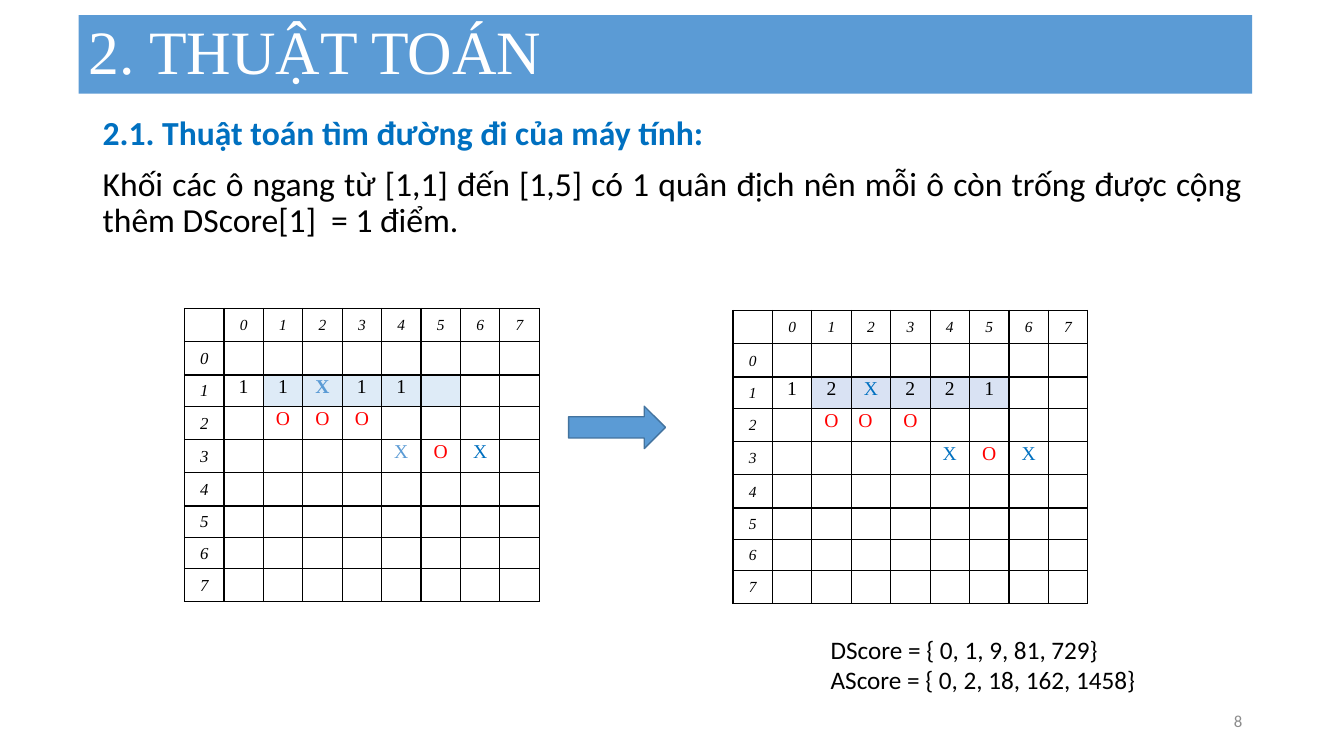
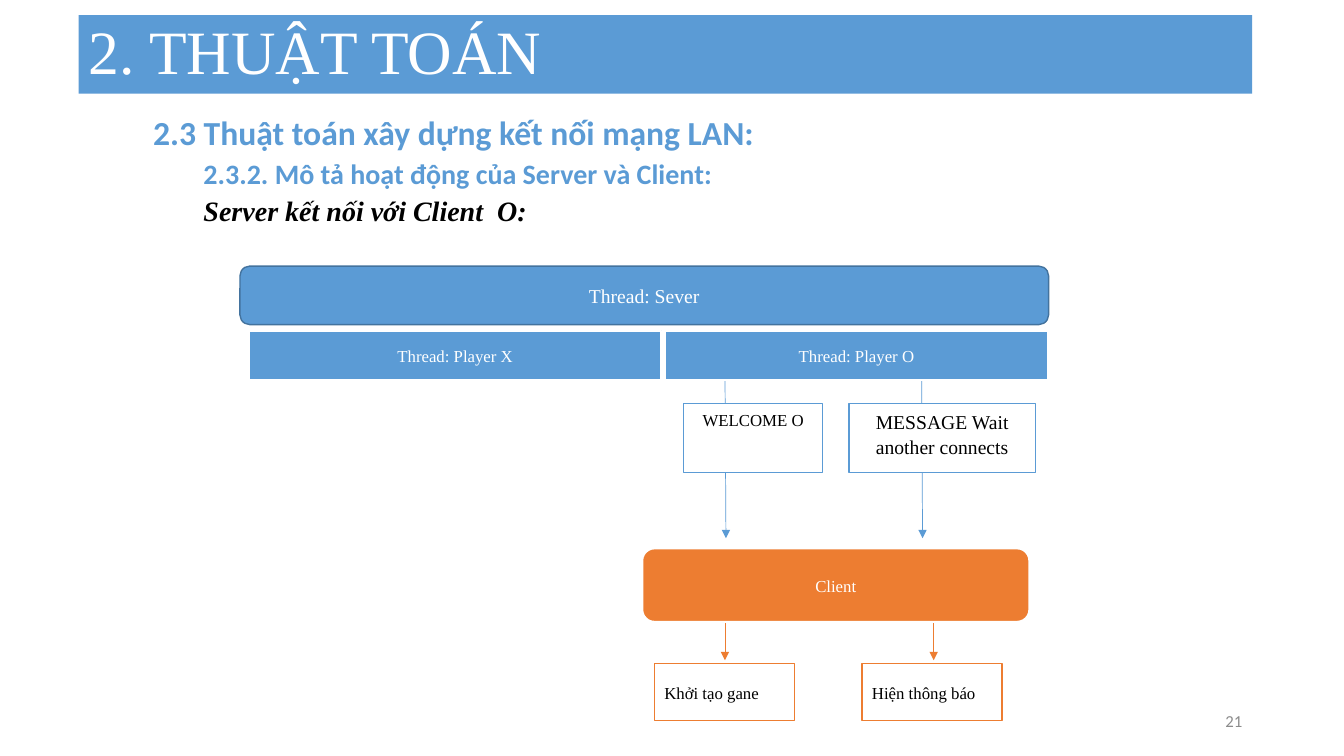
import dataclasses

import lxml.etree
import pptx
import pptx.dml.color
import pptx.enum.shapes
import pptx.enum.text
import pptx.oxml.ns
import pptx.util

Inches = pptx.util.Inches
Pt = pptx.util.Pt
qn = pptx.oxml.ns.qn
ALIGN = pptx.enum.text.PP_ALIGN
ANCHOR = pptx.enum.text.MSO_ANCHOR
SHAPE = pptx.enum.shapes.MSO_SHAPE


@dataclasses.dataclass(frozen=True)
class Theme:
    white: str = "FFFFFF"
    black: str = "000000"
    accent: str = "5B9BD5"
    outline: str = "43739E"
    blue: str = "0070C0"
    red: str = "FF0000"
    orange: str = "ED7D31"
    gray: str = "8C8C8C"
    pale_blue: str = "DEEBF7"
    pale_violet: str = "D9E2F3"
    sans: str = "Calibri"
    serif: str = "Times New Roman"
    title: int = 44
    heading: int = 24
    subheading: int = 20
    caption: int = 18
    mark: int = 14
    label: int = 12
    index: int = 11


THEME = Theme()
TITLE = "2. THUẬT TOÁN"

# Game grid: 8 by 8 squares with an index row and an index column
SQUARES = 8
GRID_WIDTH = 3.52
ROW_HEIGHTS = [0.33, 0.33, 0.31, 0.33, 0.33, 0.33, 0.31, 0.31, 0.33]
BLOCK_ROW, BLOCK_COLUMNS = 1, range(1, 6)

# Symbols used in the grid rows: text, colour, bold, alignment
MARKS = {
    "1": ("1", THEME.black, False, ALIGN.CENTER),
    "2": ("2", THEME.black, False, ALIGN.CENTER),
    "X": ("X", THEME.blue, False, ALIGN.CENTER),
    "x": ("X", THEME.accent, False, ALIGN.CENTER),
    "*": ("X", THEME.accent, True, ALIGN.CENTER),
    "O": ("O", THEME.red, False, ALIGN.CENTER),
    "o": ("O", THEME.red, False, ALIGN.LEFT),
}


# ---- Formatting helpers ----
def rgb(value):
    return pptx.dml.color.RGBColor.from_string(value)


def assign(target, formats):
    for name, value in formats.items():
        setattr(target, name, value)


def fill_with(target, color):
    target.fill.solid()
    target.fill.fore_color.rgb = rgb(color)


def write(para, text, size, color, font=THEME.serif, bold=False, italic=False, **layout):
    assign(para, layout)
    span = para.add_run()
    span.text = text
    assign(span.font, {"size": Pt(size), "name": font, "bold": bold, "italic": italic})
    span.font.color.rgb = rgb(color)


def next_para(frame, index):
    return frame.add_paragraph() if index else frame.paragraphs[0]


# ---- Elements ----
def add_page(deck, number):
    page = deck.slides.add_slide(deck.slide_layouts[5])
    band = page.shapes.title
    place = {"left": 0.78, "top": 0.15, "width": 11.64, "height": 0.78}
    assign(band, {side: Inches(length) for side, length in place.items()})
    fill_with(band, THEME.accent)
    assign(band.text_frame, {"vertical_anchor": ANCHOR.MIDDLE, "word_wrap": True,
                             "auto_size": pptx.enum.text.MSO_AUTO_SIZE.NONE})
    write(band.text_frame.paragraphs[0], TITLE, THEME.title, THEME.white,
          alignment=ALIGN.LEFT, line_spacing=0.9)
    add_text(page, (9.42, 6.95, 3, 0.4),
             [{"text": str(number), "size": THEME.label, "color": THEME.gray,
               "alignment": ALIGN.RIGHT}], anchor=ANCHOR.MIDDLE)
    return page


def add_text(page, place, lines, anchor=ANCHOR.TOP):
    box = page.shapes.add_textbox(*map(Inches, place))
    assign(box.text_frame, {"word_wrap": True, "vertical_anchor": anchor})
    for index, line in enumerate(lines):
        para = next_para(box.text_frame, index)
        formats = {"font": THEME.sans, **line}
        indent = formats.pop("indent", 0)
        write(para, **formats)
        if indent:
            para._p.get_or_add_pPr().set("marL", str(Inches(indent)))


def add_box(page, place, kind, fill, line, line_width, text="", size=THEME.label,
            color=THEME.white, alignment=ALIGN.CENTER, anchor=ANCHOR.MIDDLE):
    box = page.shapes.add_shape(kind, *map(Inches, place))
    box.shadow.inherit = False
    fill_with(box, fill)
    box.line.color.rgb = rgb(line)
    box.line.width = Pt(line_width)
    if text:
        assign(box.text_frame, {"word_wrap": True, "vertical_anchor": anchor})
        write(box.text_frame.paragraphs[0], text, size, color,
              alignment=alignment, line_spacing=1.07, space_after=Pt(8))


def add_arrow(page, start, end, color):
    arrow = page.shapes.add_connector(pptx.enum.shapes.MSO_CONNECTOR.STRAIGHT,
                                      *map(Inches, (*start, *end)))
    arrow.line.color.rgb = rgb(color)
    arrow.line.width = Pt(0.5)
    lxml.etree.SubElement(arrow.line._get_or_add_ln(), qn("a:tailEnd"), type="triangle")
    lxml.etree.SubElement(arrow._element.spPr, qn("a:effectLst"))


def add_borders(cell):
    properties = cell._tc.get_or_add_tcPr()
    for side in ("L", "R", "T", "B"):
        line = lxml.etree.SubElement(properties, qn(f"a:ln{side}"), w=str(Pt(1)))
        solid = lxml.etree.SubElement(line, qn("a:solidFill"))
        lxml.etree.SubElement(solid, qn("a:srgbClr"), val=THEME.black)


def fill_cell(cell, symbol, label, label_size, color):
    assign(cell, {"margin_left": Inches(0.07), "margin_right": Inches(0.07),
                  "margin_top": 0, "margin_bottom": 0})
    add_borders(cell)
    fill_with(cell, color)
    para = cell.text_frame.paragraphs[0]
    if label:
        cell.vertical_anchor = ANCHOR.MIDDLE
        write(para, label, label_size, THEME.black, italic=True,
              alignment=ALIGN.CENTER, line_spacing=1.07)
    elif symbol in MARKS:
        text, ink, bold, alignment = MARKS[symbol]
        write(para, text, THEME.mark, ink, bold=bold,
              alignment=alignment, line_spacing=1.07)
    else:
        # A small end mark keeps empty rows at their set height
        lxml.etree.SubElement(para._p, qn("a:endParaRPr"), sz=str(THEME.index * 100))


def add_grid(page, left, top, rows, block_color, row_label_size):
    frame = page.shapes.add_table(SQUARES + 1, SQUARES + 1, Inches(left), Inches(top),
                                  Inches(GRID_WIDTH), Inches(sum(ROW_HEIGHTS)))
    table = frame.table
    assign(table, {"first_row": False, "horz_banding": False})
    for column in table.columns:
        column.width = Inches(GRID_WIDTH / (SQUARES + 1))
    for row, height in zip(table.rows, ROW_HEIGHTS):
        row.height = Inches(height)
    for y in range(-1, SQUARES):
        for x in range(-1, SQUARES):
            symbol, label = " ", ""
            if y < 0 <= x:
                label = str(x)
            elif x < 0 <= y:
                label = str(y)
            elif x >= 0:
                symbol = rows.get(y, "").ljust(SQUARES)[x]
            in_block = y == BLOCK_ROW and x in BLOCK_COLUMNS
            fill_cell(table.cell(y + 1, x + 1), symbol, label,
                      THEME.index if y < 0 else row_label_size,
                      block_color if in_block else THEME.white)


# ---- Slides ----
def build_score_page(deck):
    page = add_page(deck, 8)
    body = {"size": THEME.heading, "alignment": ALIGN.JUSTIFY,
            "line_spacing": 0.9, "space_before": Pt(10)}
    add_text(page, (0.92, 1.11, 11.5, 1.6), [
        {**body, "text": "2.1. Thuật toán tìm đường đi của máy tính:",
         "color": THEME.blue, "bold": True},
        {**body, "text": "Khối các ô ngang từ [1,1] đến [1,5] có 1 quân địch nên mỗi ô "
                         "còn trống được cộng thêm DScore[1]  = 1 điểm.",
         "color": THEME.black},
    ])
    add_grid(page, 7.27, 3.08, {1: "12X221", 2: " OoO", 3: "    XOX"},
             THEME.pale_violet, THEME.index)
    add_grid(page, 1.83, 3.06, {1: "11*11", 2: " OOO", 3: "    xOX"},
             THEME.pale_blue, THEME.label)
    scores = ("DScore = { 0, 1, 9, 81, 729}", "AScore = { 0, 2, 18, 162, 1458}")
    add_text(page, (8.14, 6.24, 3.67, 0.71),
             [{"text": score, "size": THEME.caption, "color": THEME.black}
              for score in scores])
    add_box(page, (5.64, 4.03, 0.96, 0.42), SHAPE.RIGHT_ARROW,
            THEME.accent, THEME.outline, 1)


def build_network_page(deck):
    page = add_page(deck, 21)
    body = {"color": THEME.accent, "bold": True, "line_spacing": 0.9,
            "space_before": Pt(5)}
    detail = {**body, "size": THEME.subheading, "indent": 1}
    add_text(page, (0.92, 1.11, 11.5, 1.4), [
        {**body, "text": "2.3 Thuật toán xây dựng kết nối mạng LAN:",
         "size": THEME.heading, "indent": 0.5},
        {**detail, "text": "2.3.2. Mô tả hoạt động của Server và Client:"},
        {**detail, "text": "Server kết nối với Client  O:", "font": THEME.serif,
         "color": THEME.black, "italic": True},
    ])

    # Arrows lie behind the boxes
    for x in (7.19, 9.14):
        add_arrow(page, (x, 3.56), (x + 0.01, 5.34), THEME.accent)
    for x in (7.19, 9.26):
        add_arrow(page, (x, 5.52), (x, 6.55), THEME.orange)

    # Server, its threads and the client
    add_box(page, (2.38, 2.64, 8.02, 0.58), SHAPE.ROUNDED_RECTANGLE,
            THEME.accent, THEME.outline, 1, "Thread: Sever", THEME.mark)
    for left, width, player in ((2.47, 4.09, "X"), (6.59, 3.81, "O")):
        add_box(page, (left, 3.28, width, 0.49), SHAPE.RECTANGLE,
                THEME.accent, THEME.white, 1.5, f"Thread: Player {player}")
    add_box(page, (6.37, 5.44, 3.84, 0.73), SHAPE.ROUNDED_RECTANGLE,
            THEME.orange, THEME.white, 1.5, "Client")

    # Messages sent to the client and its reactions
    for left, width, text, size in (
            (6.78, 1.38, "WELCOME O", THEME.label),
            (8.42, 1.85, "MESSAGE Wait another connects", THEME.mark)):
        add_box(page, (left, 4, width, 0.69), SHAPE.RECTANGLE, THEME.white, THEME.accent,
                1, text, size, THEME.black, anchor=ANCHOR.TOP)
    for left, text in ((6.49, "Khởi tạo gane"), (8.55, "Hiện thông báo")):
        add_box(page, (left, 6.58, 1.39, 0.57), SHAPE.RECTANGLE, THEME.white,
                THEME.orange, 1, text, color=THEME.black, alignment=ALIGN.LEFT)


def main():
    deck = pptx.Presentation()
    assign(deck, {"slide_width": Inches(13.33), "slide_height": Inches(7.5)})
    build_score_page(deck)
    build_network_page(deck)
    deck.save("out.pptx")


if __name__ == "__main__":
    main()
